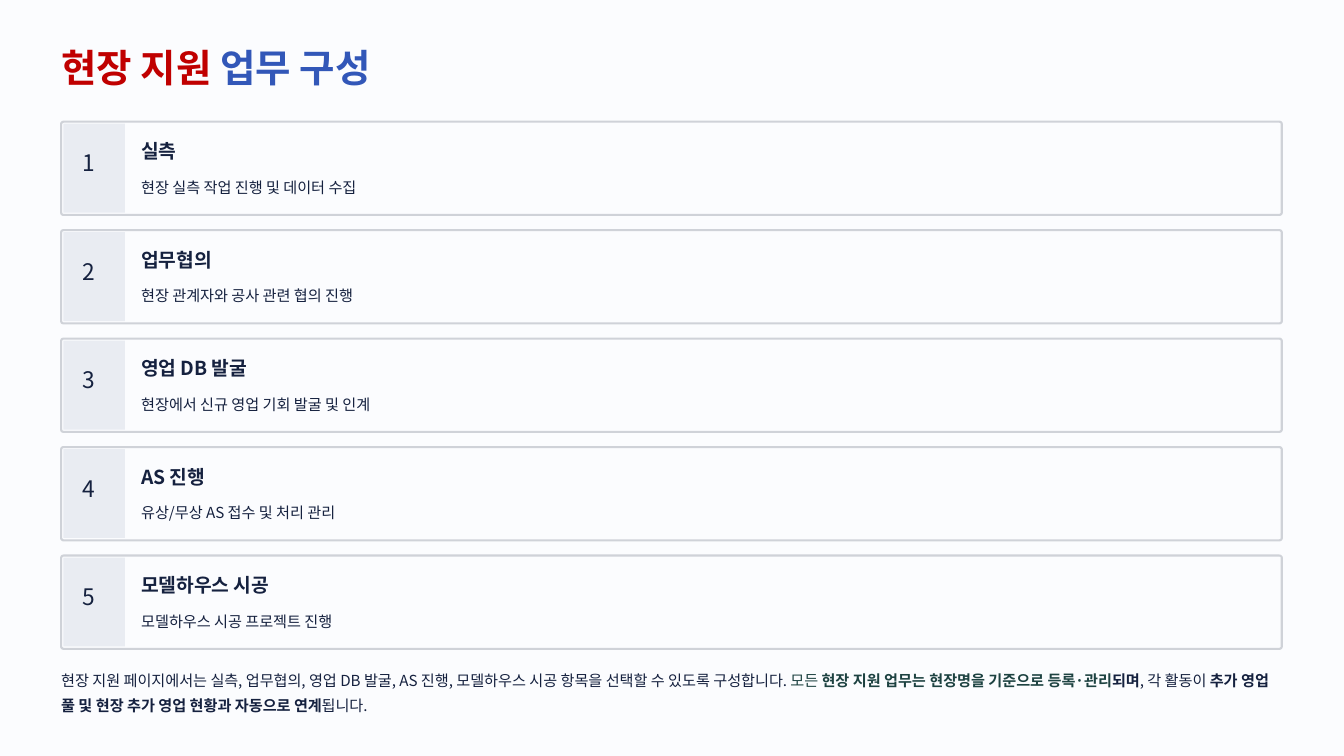
from dataclasses import dataclass

from lxml.etree import SubElement
from pptx import Presentation
from pptx.dml.color import RGBColor
from pptx.enum.shapes import MSO_SHAPE as Shp
from pptx.enum.text import MSO_ANCHOR as Anchor, MSO_AUTO_SIZE as AutoSize, PP_ALIGN as Align
from pptx.oxml.ns import qn
from pptx.util import Cm, Pt

FONT = "Noto Sans CJK KR"
PAPER, BORDER, BAND = "FBFCFE", "CFD2D8", "E9ECF2"
NAVY, GREEN, RED, BLUE = "15213F", "1D4241", "C00000", "3257B8"
LEFT, WIDTH = 1.85, 36.91
CARD_TOP, CARD_HEIGHT, CARD_PITCH = 3.68, 2.82, 3.28


@dataclass
class Span:
    text: str
    color: str = NAVY
    bold: bool = False


@dataclass
class Task:
    name: str
    detail: str


TASKS = [
    Task("실측", "현장 실측 작업 진행 및 데이터 수집"),
    Task("업무협의", "현장 관계자와 공사 관련 협의 진행"),
    Task("영업 DB 발굴", "현장에서 신규 영업 기회 발굴 및 인계"),
    Task("AS 진행", "유상/무상 AS 접수 및 처리 관리"),
    Task("모델하우스 시공", "모델하우스 시공 프로젝트 진행"),
]

TITLE = [Span("현장 지원 ", RED, True), Span("업무 구성", BLUE, True)]

SUMMARY = [
    Span("현장 지원 페이지에서는 실측, 업무협의, 영업 DB 발굴, AS 진행, "
         "모델하우스 시공 항목을 선택할 수 있도록 구성합니다. "),
    Span("모든 ", GREEN),
    Span("현장 지원 업무는 현장명을 기준으로 등록·관리", GREEN, True),
    Span("되며", NAVY, True),
    Span(", 각 활동이 "),
    Span("추가 영업 풀 및 현장 추가 영업 현황과 자동으로 연계", NAVY, True),
    Span("됩니다."),
]


def rgb(value: str) -> RGBColor:
    return RGBColor.from_string(value)


def write(sp, spans: list[Span], size: float, leading: float) -> None:
    tf = sp.text_frame
    tf.margin_left = tf.margin_right = tf.margin_top = tf.margin_bottom = 0
    tf.word_wrap = True
    tf.auto_size = AutoSize.NONE
    tf.vertical_anchor = Anchor.TOP
    p = tf.paragraphs[0]
    p.alignment = Align.LEFT
    p.line_spacing = Pt(leading)
    for span in spans:
        r = p.add_run()
        r.text = span.text
        r.font.size = Pt(size)
        r.font.bold = span.bold
        r.font.color.rgb = rgb(span.color)
        r.font.name = FONT
        SubElement(r._r.get_or_add_rPr(), qn("a:ea"), typeface=FONT)


def add_text(s, x: float, y: float, w: float, h: float,
             spans: list[Span], size: float, leading: float) -> None:
    sp = s.shapes.add_textbox(Cm(x), Cm(y), Cm(w), Cm(h))
    write(sp, spans, size, leading)


def add_box(s, kind: Shp, x: float, y: float, w: float, h: float, fill: str):
    sp = s.shapes.add_shape(kind, Cm(x), Cm(y), Cm(w), Cm(h))
    sp.shadow.inherit = False
    sp.fill.solid()
    sp.fill.fore_color.rgb = rgb(fill)
    sp.line.fill.background()
    return sp


def add_card(s, number: int, task: Task) -> None:
    top = CARD_TOP + (number - 1) * CARD_PITCH
    card = add_box(s, Shp.ROUNDED_RECTANGLE, LEFT, top, WIDTH, CARD_HEIGHT, PAPER)
    card.adjustments[0] = 0.025
    card.line.color.rgb = rgb(BORDER)
    card.line.width = Pt(1.8)
    add_box(s, Shp.RECTANGLE, LEFT + 0.07, top + 0.06, 1.86, 2.69, BAND)
    add_text(s, 2.51, top + 0.97, 0.71, 0.86, [Span(str(number))], 19.5, 19.5)
    add_text(s, 4.27, top + 0.52, 5.82, 0.74, [Span(task.name, bold=True)], 16.5, 20.5)
    add_text(s, 4.27, top + 1.52, 33.99, 0.74, [Span(task.detail)], 13, 21)


def main() -> None:
    prs = Presentation()
    prs.slide_width, prs.slide_height = Cm(40.64), Cm(22.86)
    s = prs.slides.add_slide(prs.slide_layouts[5])
    s.background.fill.solid()
    s.background.fill.fore_color.rgb = rgb(PAPER)

    title = s.shapes.title
    title.left, title.top = Cm(LEFT), Cm(1.27)
    title.width, title.height = Cm(11.66), Cm(1.45)
    write(title, TITLE, 33, 41)

    for number, task in enumerate(TASKS, 1):
        add_card(s, number, task)
    add_text(s, LEFT, 20.12, WIDTH, 1.5, SUMMARY, 13, 21)
    prs.save("out.pptx")


if __name__ == "__main__":
    main()
